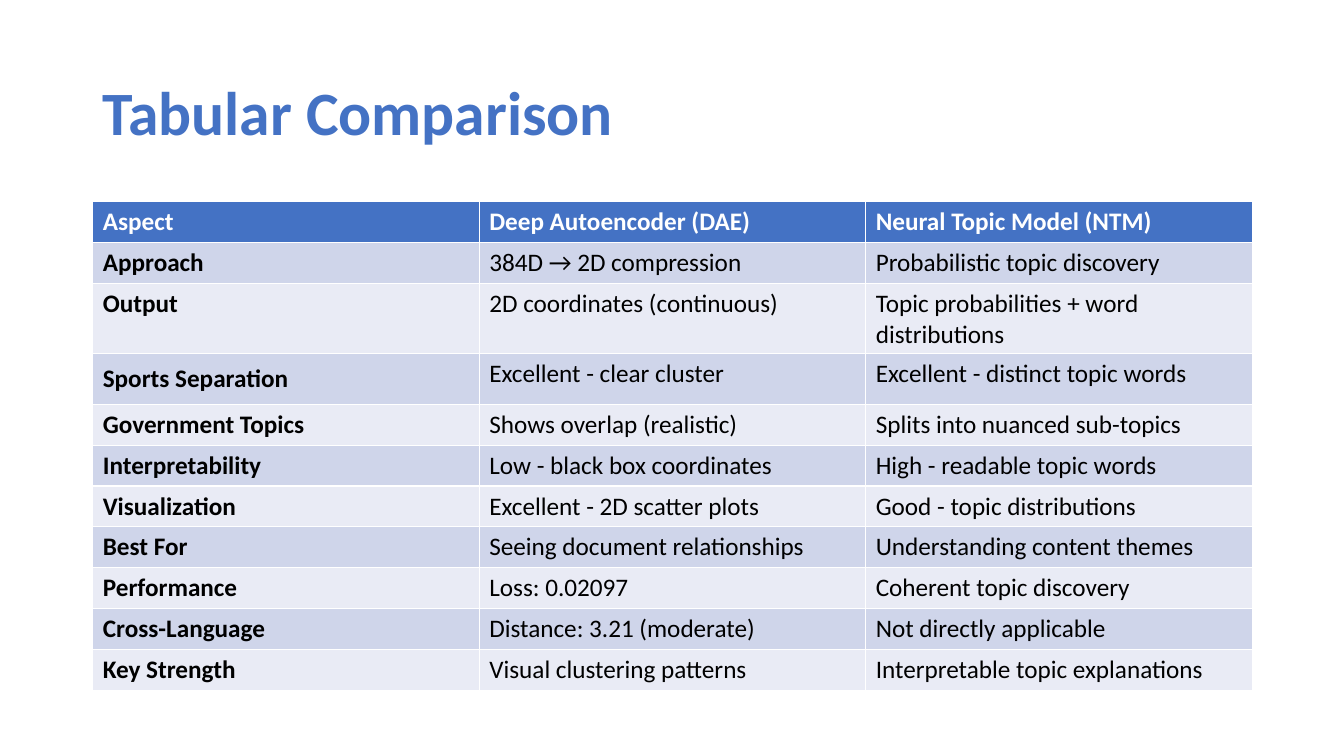
import pptx
import pptx.util
import pptx.dml.color
import pptx.enum.text
from pptx.util import Inches

RGBColor = pptx.dml.color.RGBColor
MIDDLE = pptx.enum.text.MSO_ANCHOR.MIDDLE

BLUE = RGBColor(0x44, 0x72, 0xC4)
WHITE = RGBColor(0xFF, 0xFF, 0xFF)
BLACK = RGBColor(0x00, 0x00, 0x00)
BANDS = (RGBColor(0xCF, 0xD5, 0xEA), RGBColor(0xE9, 0xEB, 0xF5))

TITLE = "Tabular Comparison"
COMPARISON = [
    ("Aspect", "Deep Autoencoder (DAE)", "Neural Topic Model (NTM)"),
    ("Approach", "384D → 2D compression", "Probabilistic topic discovery"),
    ("Output", "2D coordinates (continuous)", "Topic probabilities + word distributions"),
    ("Sports Separation", "Excellent - clear cluster", "Excellent - distinct topic words"),
    ("Government Topics", "Shows overlap (realistic)", "Splits into nuanced sub-topics"),
    ("Interpretability", "Low - black box coordinates", "High - readable topic words"),
    ("Visualization", "Excellent - 2D scatter plots", "Good - topic distributions"),
    ("Best For", "Seeing document relationships", "Understanding content themes"),
    ("Performance", "Loss: 0.02097", "Coherent topic discovery"),
    ("Cross-Language", "Distance: 3.21 (moderate)", "Not directly applicable"),
    ("Key Strength", "Visual clustering patterns", "Interpretable topic explanations"),
]
PADDED_ASPECT = "Sports Separation"

LEFT, WIDTH = Inches(0.92), Inches(11.5)
TITLE_TOP, TITLE_HEIGHT = Inches(0.65), Inches(0.99)
TABLE_TOP, TABLE_HEIGHT = Inches(2), Inches(4.46)


def write(frame, text, size=18, color=BLACK, bold=False, line_spacing=None):
    paragraph = frame.paragraphs[0]
    paragraph.line_spacing = line_spacing
    run = paragraph.add_run()
    run.text = text
    run.font.name = "Calibri"
    run.font.size = pptx.util.Pt(size)
    run.font.bold = bold
    run.font.color.rgb = color


def add_title(slide):
    title = slide.shapes.add_textbox(LEFT, TITLE_TOP, WIDTH, TITLE_HEIGHT).text_frame
    title.word_wrap = True
    title.vertical_anchor = MIDDLE
    write(title, TITLE, size=44, color=BLUE, bold=True, line_spacing=0.9)


def add_comparison(slide):
    """Add the table; its default style draws the white cell borders."""
    table = slide.shapes.add_table(
        len(COMPARISON), len(COMPARISON[0]), LEFT, TABLE_TOP, WIDTH, TABLE_HEIGHT
    ).table
    for row, entries in enumerate(COMPARISON):
        header = row == 0
        for column, entry in enumerate(entries):
            cell = table.cell(row, column)
            cell.fill.solid()
            cell.fill.fore_color.rgb = BLUE if header else BANDS[(row - 1) % 2]
            write(cell.text_frame, entry, color=WHITE if header else BLACK,
                  bold=header or column == 0)
            if entry == PADDED_ASPECT:
                cell.vertical_anchor = MIDDLE
                cell.margin_top = cell.margin_bottom = Inches(0.1)
                cell.margin_right = Inches(0.17)


def main():
    deck = pptx.Presentation()
    deck.slide_width, deck.slide_height = Inches(13.33), Inches(7.5)
    slide = deck.slides.add_slide(deck.slide_layouts[6])
    add_title(slide)
    add_comparison(slide)
    deck.save("out.pptx")


if __name__ == "__main__":
    main()
